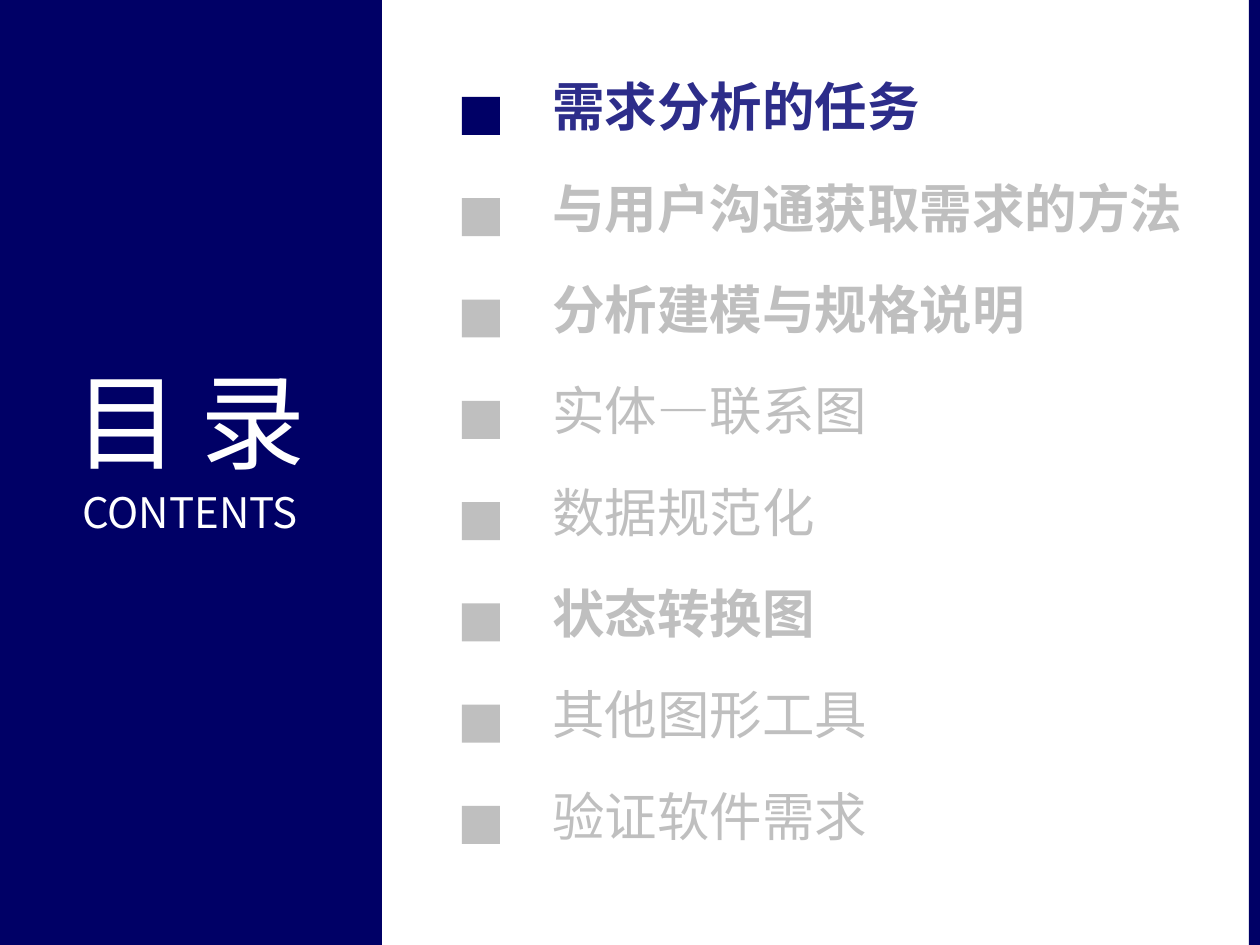
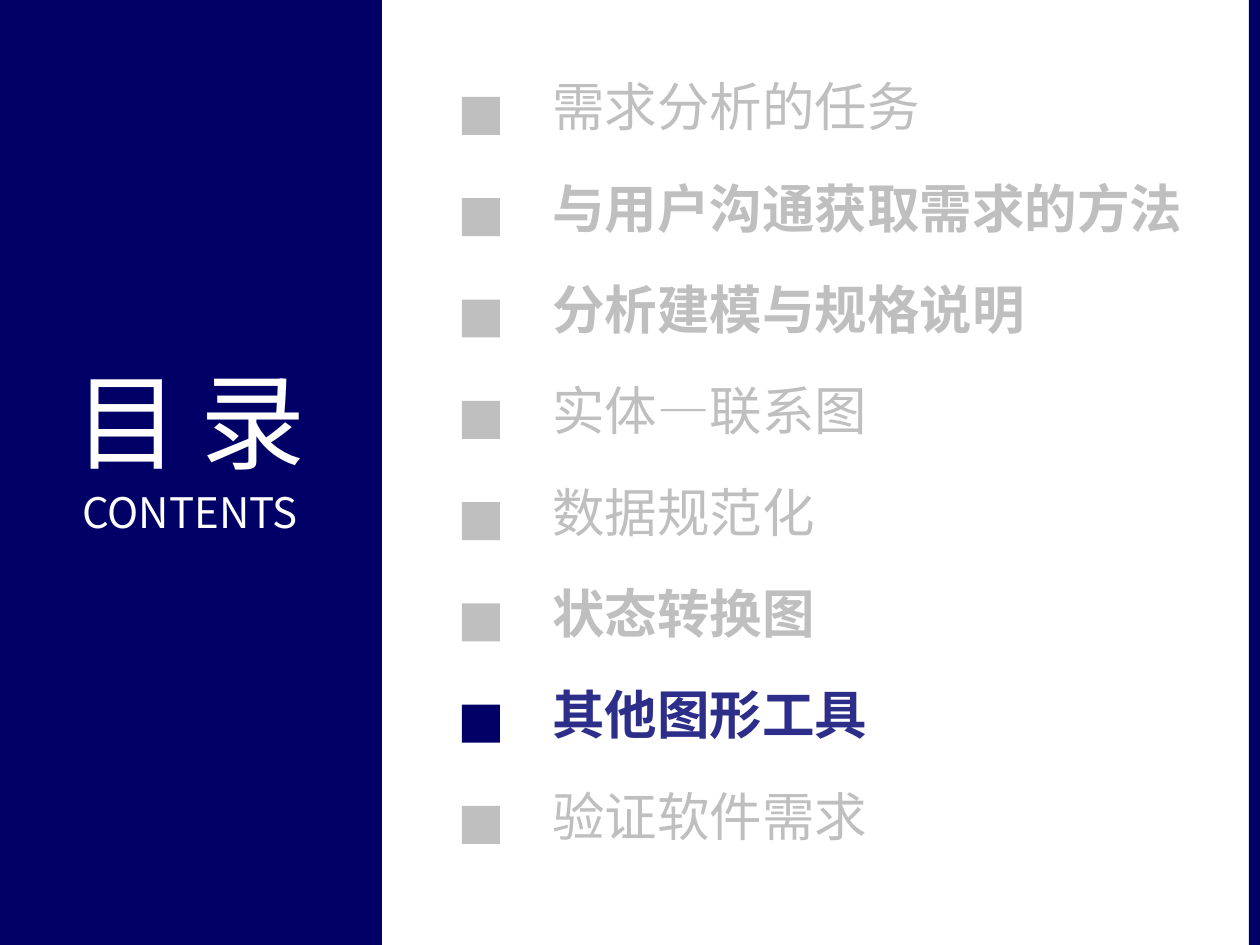
from pptx import Presentation, util as u
from pptx.dml.color import RGBColor
from pptx.enum import shapes, text
from pptx.oxml.ns import qn
from lxml import etree

TOPICS = [  # wording, always bold
    ("需求分析的任务", False),
    ("与用户沟通获取需求的方法", True),
    ("分析建模与规格说明", True),
    ("实体—联系图", False),
    ("数据规范化", False),
    ("状态转换图", True),
    ("其他图形工具", False),
    ("验证软件需求", False),
]
CURRENT = [0, 6]  # topic lit on each slide

THEME = {
    "font": "Noto Sans CJK SC",
    "navy": "000066", "lit": "2D2D8A", "grey": "BFBFBF", "white": "FFFFFF",
    "head": 60, "sub": 24, "topic": 30,
    "leading": 0.9,
}
HEADING = [  # wording, size, letter spacing and space before in points
    ("目录", THEME["head"], 12, 0),
    ("CONTENTS", THEME["sub"], 0, 5),
]

SCALE = 914400 / 126  # EMU in one px
WIDE, HIGH = 1260, 945
SIDE = (-2, 0, 384, HIGH)
EDGE = (1249, 0, 11, HIGH)
TITLE = (-2, 364, 384, 217)
MARK_X, MARK = 462, 38
TEXT_X, TEXT_W, TEXT_H = 540, 711, 77
FIRST_Y, LAST_Y = 97, 806
STEP = (LAST_Y - FIRST_Y) / (len(TOPICS) - 1)


def emu(px):
    return u.Emu(round(px * SCALE))


def block(slide, box, color):
    rect = slide.shapes.add_shape(shapes.MSO_SHAPE.RECTANGLE, *map(emu, box))
    rect.shadow.inherit = False
    rect.fill.solid()
    rect.fill.fore_color.rgb = RGBColor.from_string(THEME[color])
    rect.line.fill.background()
    return rect


def frame(shape):
    """Set up wrapping, growth and top anchoring."""
    tf = shape.text_frame
    form = {
        "word_wrap": True,
        "auto_size": text.MSO_AUTO_SIZE.SHAPE_TO_FIT_TEXT,
        "vertical_anchor": text.MSO_ANCHOR.TOP,
    }
    for key, val in form.items():
        setattr(tf, key, val)
    return tf


def write(para, words, size, color, bold=False, track=0, **form):
    form["line_spacing"] = THEME["leading"]
    for key, val in form.items():
        setattr(para, key, val)
    run = para.add_run()
    run.text = words
    font = run.font
    look = {"name": THEME["font"], "size": u.Pt(size), "bold": bold}
    for key, val in look.items():
        setattr(font, key, val)
    font.color.rgb = RGBColor.from_string(THEME[color])
    props = run._r.get_or_add_rPr()
    props.set("spc", str(track * 100))
    etree.SubElement(props, qn("a:ea")).set("typeface", THEME["font"])


def head(slide):
    """Draw the side bands and the heading over them."""
    title = slide.shapes.title
    for box in (SIDE, EDGE):
        title.element.addprevious(block(slide, box, "navy").element)
    for key, px in zip(("left", "top", "width", "height"), TITLE):
        setattr(title, key, emu(px))
    tf = frame(title)
    for i, (words, size, track, gap) in enumerate(HEADING):
        para = tf.add_paragraph() if i else tf.paragraphs[0]
        write(para, words, size, "white", track=track,
              alignment=text.PP_ALIGN.CENTER, space_before=u.Pt(gap))


def topics(slide, current):
    for i, (words, strong) in enumerate(TOPICS):
        lit = i == current
        y = FIRST_Y + i * STEP
        block(slide, (MARK_X, y, MARK, MARK), "navy" if lit else "grey")
        # Centre the text box on its marker.
        box = (TEXT_X, y + (MARK - TEXT_H) / 2 - 2, TEXT_W, TEXT_H)
        tf = frame(slide.shapes.add_textbox(*map(emu, box)))
        write(tf.paragraphs[0], words, THEME["topic"],
              "lit" if lit else "grey", bold=strong or lit)


def main():
    deck = Presentation()
    deck.slide_width, deck.slide_height = emu(WIDE), emu(HIGH)
    layout = deck.slide_layouts.get_by_name("Title Only")
    for current in CURRENT:
        slide = deck.slides.add_slide(layout)
        head(slide)
        topics(slide, current)
    deck.save("out.pptx")


if __name__ == "__main__":
    main()
